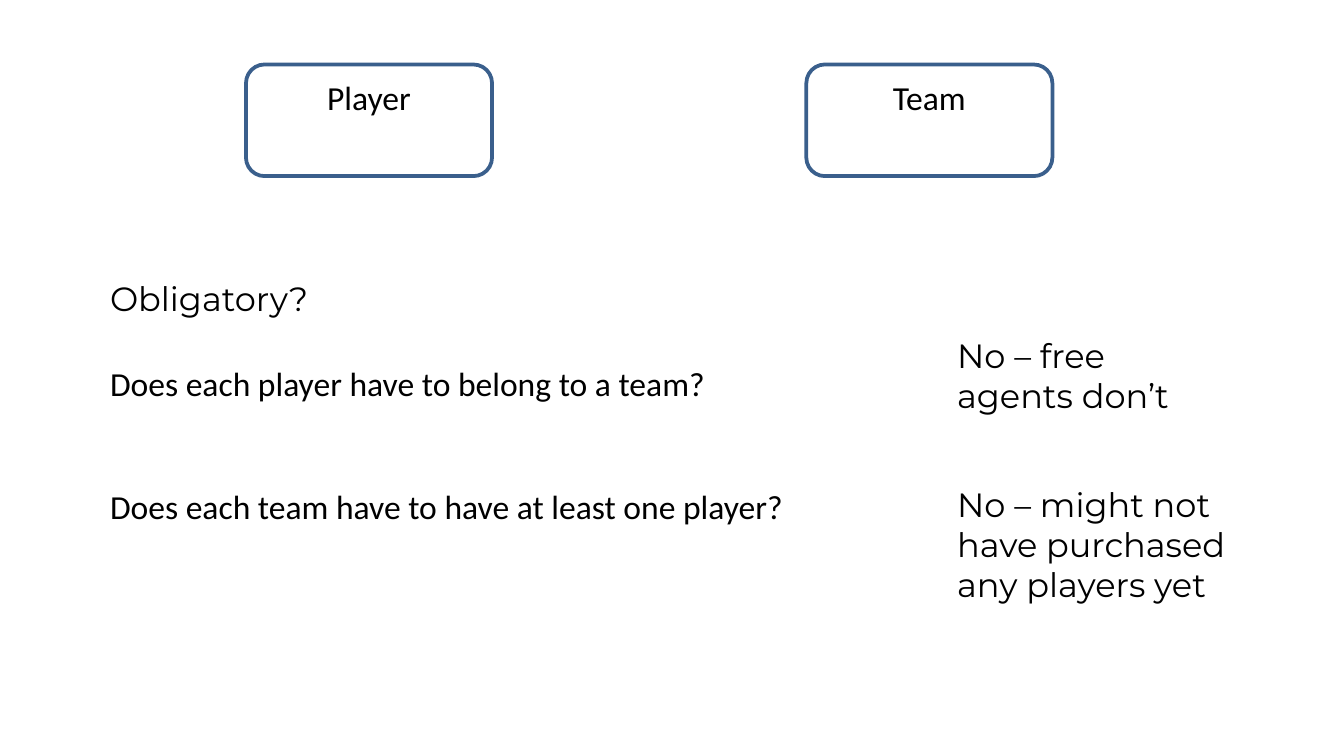
from pptx import Presentation
from pptx.dml.color import RGBColor
from pptx.enum.shapes import MSO_SHAPE
from pptx.enum.text import MSO_ANCHOR, MSO_AUTO_SIZE, PP_ALIGN
from pptx.util import Cm, Pt

COLORS = {"line": "3A5F8C", "text": "000000"}


def write(shape, text, face):
    frame = shape.text_frame
    for key, value in {"word_wrap": True, "vertical_anchor": MSO_ANCHOR.TOP}.items():
        setattr(frame, key, value)
    frame.text = text
    font = frame.paragraphs[0].font
    for key, value in {"name": face, "size": Pt(18)}.items():
        setattr(font, key, value)
    font.color.rgb = RGBColor.from_string(COLORS["text"])


deck = Presentation()
deck.slide_width, deck.slide_height = Cm(25.4), Cm(14.29)
slide = deck.slides.add_slide(deck.slide_layouts[6])

# Entities
for name, left in [("Player", 4.65), ("Team", 15.24)]:
    box = slide.shapes.add_shape(
        MSO_SHAPE.ROUNDED_RECTANGLE, Cm(left), Cm(1.22), Cm(4.65), Cm(2.11))
    box.shadow.inherit = False
    box.fill.background()
    box.line.color.rgb = RGBColor.from_string(COLORS["line"])
    box.line.width = Pt(2)
    write(box, name, "Calibri")
    box.text_frame.paragraphs[0].alignment = PP_ALIGN.CENTER

# Heading, questions and answers: text, font, left, top, width, height
ASK, REPLY = 1.83, 17.84
notes = [
    ("Obligatory?", "Montserrat", ASK, 5.13, 16.08, 1.02),
    ("Does each player have to belong to a team?", "Calibri", ASK, 6.73, 13, 1.02),
    ("Does each team have to have at least one player?", "Calibri", ASK, 9.07, 14.27, 1.02),
    ("No – free agents don’t", "Montserrat", REPLY, 6.2, 5.23, 1.8),
    ("No – might not have purchased any players yet", "Montserrat", REPLY, 9.02, 6.07, 2.57),
]
for text, face, *place in notes:
    note = slide.shapes.add_textbox(*map(Cm, place))
    write(note, text, face)
    note.text_frame.auto_size = MSO_AUTO_SIZE.SHAPE_TO_FIT_TEXT

deck.save("out.pptx")
